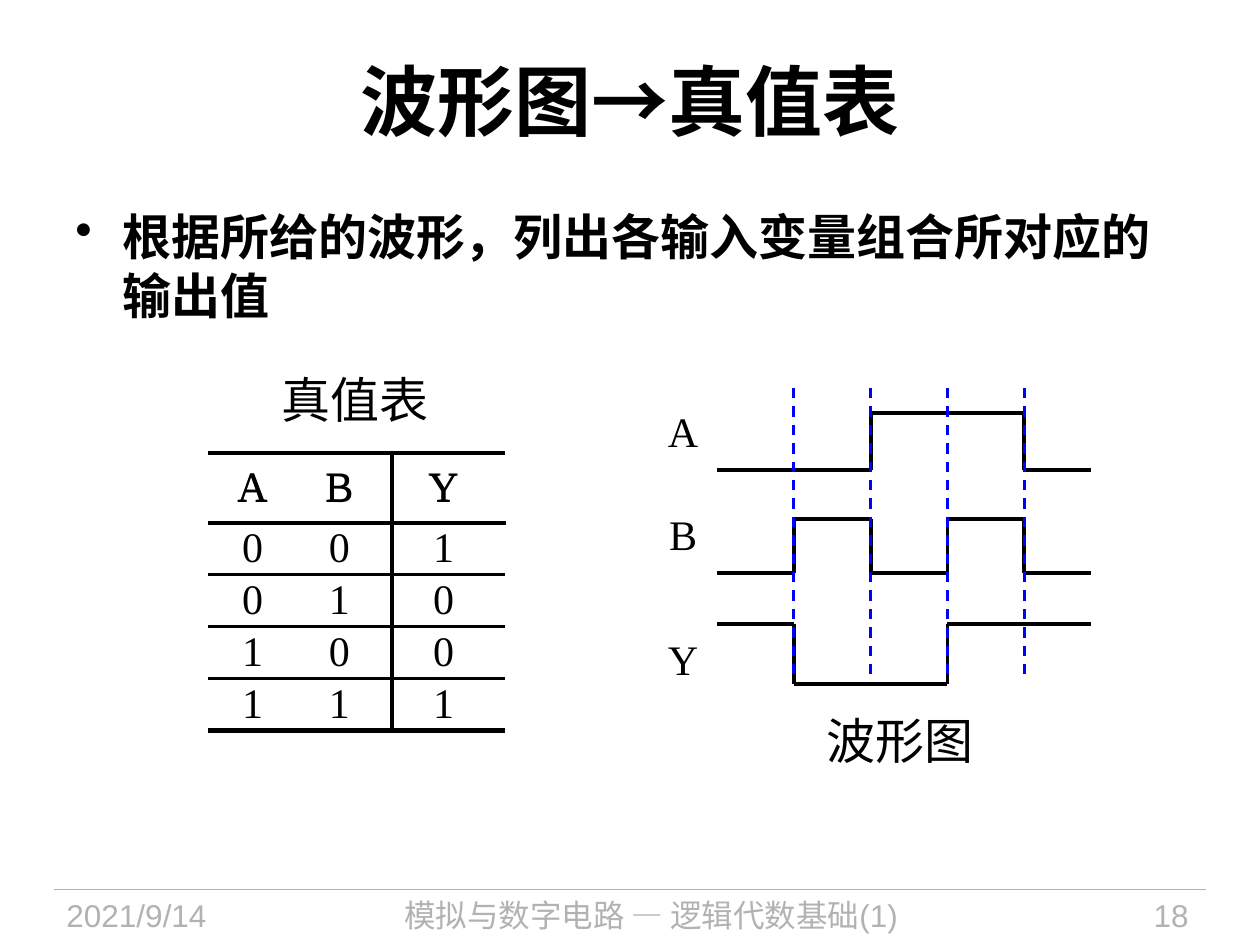
from dataclasses import dataclass
from itertools import groupby

from lxml import etree
from pptx import Presentation
from pptx.dml.color import RGBColor
from pptx.enum.dml import MSO_LINE
from pptx.enum.lang import MSO_LANGUAGE_ID
from pptx.enum.shapes import MSO_CONNECTOR
from pptx.enum.text import MSO_ANCHOR, PP_ALIGN
from pptx.oxml.ns import qn
from pptx.util import Cm, Pt

LEFT, MID, RIGHT = PP_ALIGN.LEFT, PP_ALIGN.CENTER, PP_ALIGN.RIGHT
TOP, CENTER = MSO_ANCHOR.TOP, MSO_ANCHOR.MIDDLE
DASH = MSO_LINE.DASH
STRAIGHT = MSO_CONNECTOR.STRAIGHT
CHINESE = MSO_LANGUAGE_ID.SIMPLIFIED_CHINESE


@dataclass(frozen=True)
class Theme:
    """Colours, fonts, type sizes and line widths of the slide."""
    ink: str = "000000"
    gray: str = "B2B2B2"
    blue: str = "0000FF"
    sans: str = "Arial"
    serif: str = "Times New Roman"
    title: int = 44
    body: int = 28
    label: int = 24
    foot: int = 18
    thick: float = 2.25
    dash: float = 1.5
    thin: float = 1
    hair: float = 0.75


THEME = Theme()
HEAD = ["ABY", *["   "] * 4]
VALUES = ["001", "010", "100", "111"]
WAVES = [
    ("A", "00110", 8.33, 9.47, 8.05),
    ("B", "01010", 10.46, 11.56, 10.13),
    ("Y", "10011", 12.57, 13.79, 12.65),
]
STEPS = [16 + 1.55 * i for i in range(4)]
EDGES = [14.45, *STEPS, 22]


def write(frame, text, size=THEME.body, face=THEME.serif, color=THEME.ink,
          bold=False, align=MID, bullet=False):
    """Put one formatted paragraph into a text frame."""
    para = frame.paragraphs[0]
    para.alignment = align
    if bullet:
        props = para._p.get_or_add_pPr()
        props.set("marL", str(Cm(0.95)))
        props.set("indent", str(Cm(-0.95)))
        etree.SubElement(props, qn("a:buChar")).set("char", "•")
    run = para.add_run()
    run.text = text
    font = run.font
    font.size, font.name, font.bold = Pt(size), face, bold
    font.color.rgb = RGBColor.from_string(color)
    font.language_id = CHINESE


def add_text(slide, text, box, anchor=TOP, wrap=True, **style):
    """Add a text box at left, top, width and height."""
    frame = slide.shapes.add_textbox(*map(Cm, box)).text_frame
    frame.word_wrap = wrap
    frame.vertical_anchor = anchor
    write(frame, text, **style)


def add_line(slide, start, end, color=THEME.ink, width=THEME.thick, dash=None):
    """Add a straight line between two points."""
    line = slide.shapes.add_connector(STRAIGHT, *map(Cm, (*start, *end)))
    line.line.color.rgb = RGBColor.from_string(color)
    line.line.width = Pt(width)
    if dash:
        line.line.dash_style = dash
    etree.SubElement(line._element.spPr, qn("a:effectLst"))


def set_edge(cell, side, width=0):
    """Draw one border of a cell, or clear it when the width is zero."""
    edge = etree.SubElement(cell._tc.get_or_add_tcPr(), qn(f"a:ln{side}"))
    edge.set("w", str(Pt(width)))
    if width:
        fill = etree.SubElement(edge, qn("a:solidFill"))
        etree.SubElement(fill, qn("a:srgbClr")).set("val", THEME.ink)
    else:
        etree.SubElement(edge, qn("a:noFill"))


def fill_cell(cell, text, above, below):
    """Write a centred cell and rule it above and below."""
    cell.margin_left = cell.margin_right = Cm(0)
    cell.margin_top = cell.margin_bottom = Cm(0)
    cell.vertical_anchor = CENTER
    for side, width in (("L", 0), ("R", 0), ("T", above), ("B", below)):
        set_edge(cell, side, width)
    cell.fill.background()
    if text.strip():
        write(cell.text_frame, text, size=THEME.label)


def add_grid(slide, rows, top, tall, outer=0, inner=0):
    """Add a three-column table with a first row of its own height."""
    highs = [tall] + [1.05] * (len(rows) - 1)
    box = map(Cm, (4.19, top, 6, sum(highs)))
    table = slide.shapes.add_table(len(rows), 3, *box).table
    table.first_row = table.horz_banding = False
    for col, width in zip(table.columns, (1.8, 1.7, 2.5)):
        col.width = Cm(width)
    for i, (texts, high) in enumerate(zip(rows, highs)):
        table.rows[i].height = Cm(high)
        above = inner if i else outer
        below = inner if i < len(rows) - 1 else outer
        for j, text in enumerate(texts):
            fill_cell(table.cell(i, j), text, above, below)


def add_truth(slide):
    """Add the truth table: ruled frames, heavy rules and values."""
    for top in (9.14, 9.12):
        add_grid(slide, HEAD, top, 1.4, THEME.thick, THEME.thin)
    add_line(slide, (7.9, 14.73), (7.9, 9.14))
    add_line(slide, (4.19, 10.54), (10.21, 10.54))
    add_grid(slide, VALUES, 10.52, 1.05)


def add_wave(slide, name, bits, high, low, top):
    """Add a named square wave, one level line per run of equal bits."""
    add_text(slide, name, (13.21, top, 1.12, 1.27), wrap=False,
             size=THEME.label)
    at, last = 0, None
    for bit, run in groupby(bits):
        level = high if bit == "1" else low
        end = at + len(list(run))
        if last is not None:
            add_line(slide, (EDGES[at], last), (EDGES[at], level))
        add_line(slide, (EDGES[at], level), (EDGES[end], level))
        at, last = end, level


def add_foot(slide):
    """Add the footer rule with date, course and page number."""
    add_line(slide, (1.09, 17.93), (24.31, 17.93), THEME.gray, THEME.hair)
    for text, left, width, align in (
        ("2021/9/14", 1.09, 4.78, LEFT),
        ("模拟与数字电路 — 逻辑代数基础(1)", 6.32, 13.61, MID),
        ("18", 20.83, 3.38, RIGHT),
    ):
        add_text(slide, text, (left, 17.93, width, 1.12), size=THEME.foot,
                 face=THEME.sans, color=THEME.gray, align=align)


def main():
    """Build the slide and save it."""
    deck = Presentation()
    deck.slide_width, deck.slide_height = Cm(25.4), Cm(19.05)
    slide = deck.slides.add_slide(deck.slide_layouts[6])
    add_foot(slide)
    add_text(slide, "波形图→真值表", (1.27, 0.43, 22.86, 3.18), anchor=CENTER,
             size=THEME.title, face=THEME.sans, bold=True)
    add_text(slide, "根据所给的波形，列出各输入变量组合所对应的输出值",
             (1.27, 4.04, 22.86, 3.71), face=THEME.sans, bold=True,
             align=LEFT, bullet=True)
    add_text(slide, "真值表", (5.41, 7.32, 3.48, 1.45), wrap=False)
    add_text(slide, "波形图", (15.95, 14.2, 4.39, 1.45))
    add_truth(slide)
    for wave in WAVES:
        add_wave(slide, *wave)
    for x in STEPS:
        add_line(slide, (x, 7.82), (x, 13.69), THEME.blue, THEME.dash, DASH)
    deck.save("out.pptx")


if __name__ == "__main__":
    main()
